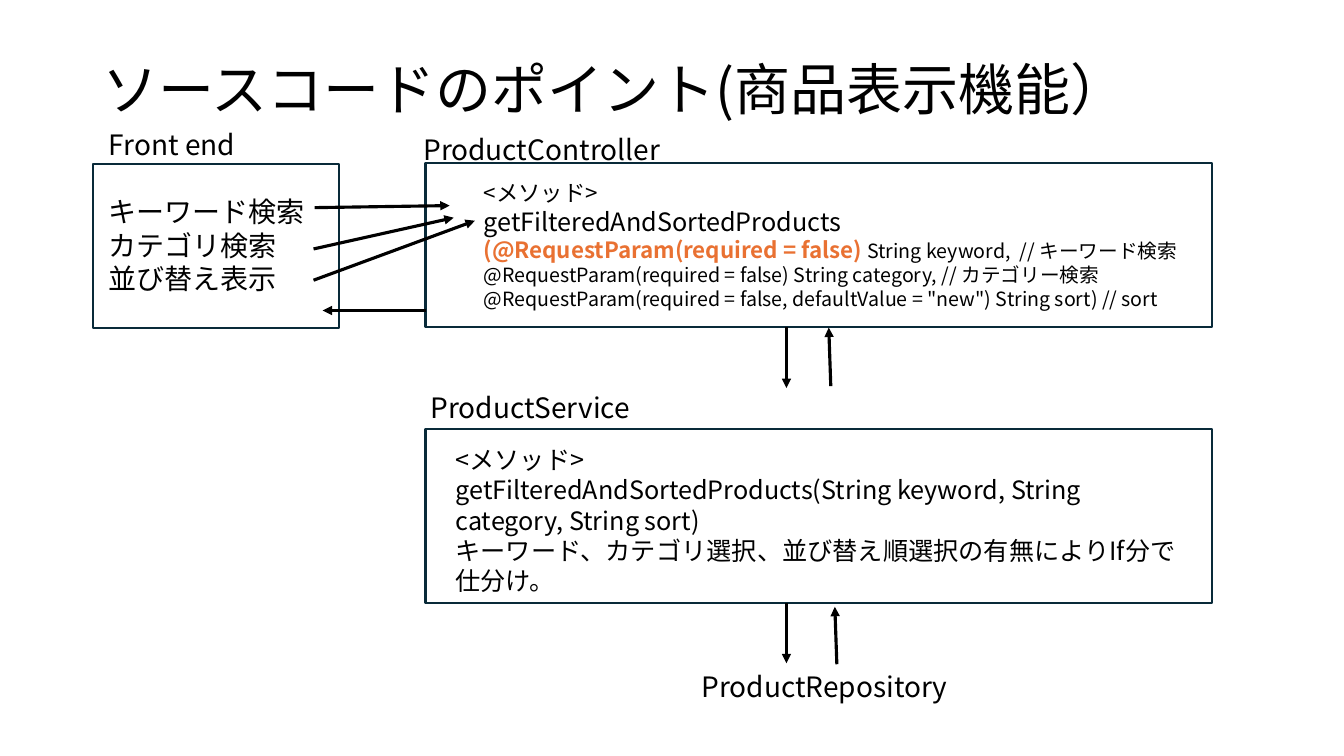
from pptx import Presentation
from pptx.dml.color import RGBColor
from pptx.enum.shapes import MSO_CONNECTOR, MSO_SHAPE
from pptx.enum.text import MSO_ANCHOR
from pptx.oxml.ns import qn
from pptx.util import Inches, Pt
from lxml.etree import SubElement

FONT = "Noto Sans CJK JP"
BLACK = "000000"
ORANGE = "E97132"
NAVY = "092A39"


def color(hex_string):
    return RGBColor.from_string(hex_string)


def add_text(left, top, width, height, paragraphs):
    frame = slide.shapes.add_textbox(
        Inches(left), Inches(top), Inches(width), Inches(height)).text_frame
    frame.word_wrap = True
    for index, pieces in enumerate(paragraphs):
        paragraph = frame.paragraphs[0] if index == 0 else frame.add_paragraph()
        for text, size, hex_string in pieces:
            run = paragraph.add_run()
            run.text = text
            run.font.size = Pt(size)
            run.font.name = FONT
            run.font.bold = hex_string == ORANGE
            run.font.color.rgb = color(hex_string)
            SubElement(run.font._element, qn("a:ea")).set("typeface", FONT)
    return frame


prs = Presentation()
prs.slide_width = Inches(13.33)
prs.slide_height = Inches(7.5)
slide = prs.slides.add_slide(prs.slide_layouts[6])

title = add_text(0.92, 0.19, 11.5, 1.45,
                 [[("ソースコードのポイント(商品表示機能）", 40, BLACK)]])
title.vertical_anchor = MSO_ANCHOR.MIDDLE
title.paragraphs[0].line_spacing = 0.9

boxes = [
    (0.92, 1.63, 2.44, 1.62),
    (4.22, 1.62, 7.8, 1.62),
    (4.22, 4.26, 7.8, 1.72),
]
for bounds in boxes:
    box = slide.shapes.add_shape(MSO_SHAPE.RECTANGLE, *map(Inches, bounds))
    box.shadow.inherit = False
    box.fill.background()
    box.line.color.rgb = color(NAVY)
    box.line.width = Pt(1.5)

headings = [
    ("Front end", 0.98, 1.22, 3),
    ("ProductController", 4.1, 1.27, 6.67),
    ("ProductService", 4.17, 3.82, 6.67),
    ("ProductRepository", 6.86, 6.59, 6.67),
]
for heading, left, top, width in headings:
    add_text(left, top, width, 0.44, [[(heading, 20, BLACK)]])

searches = ["キーワード検索", "カテゴリ検索", "並び替え表示"]
add_text(0.98, 1.88, 3, 1.11, [[(search, 20, BLACK)] for search in searches])

add_text(4.7, 1.73, 7.33, 1.41, [
    [("<メソッド>", 16, BLACK)],
    [("getFilteredAndSortedProducts", 18, BLACK)],
    [("(@RequestParam(required = false) ", 16, ORANGE),
     ("String keyword,  // キーワード検索", 14, BLACK)],
    [("@RequestParam(required = false) String category, // カテゴリー検索", 14, BLACK)],
    [('@RequestParam(required = false, defaultValue = "new") String sort) // sort',
      14, BLACK)],
])

service_lines = [
    "<メソッド>",
    "getFilteredAndSortedProducts(String keyword, String category, String sort)",
    "キーワード、カテゴリ選択、並び替え順選択の有無によりIf分で仕分け。",
]
add_text(4.42, 4.36, 7.41, 1.62, [[(line, 18, BLACK)] for line in service_lines])

arrows = [
    (3.12, 2.06, 4.46, 2.04),
    (3.11, 2.47, 4.5, 2.16),
    (3.11, 2.78, 4.71, 2.19),
    (4.23, 3.08, 3.2, 3.08),
    (7.8, 3.24, 7.8, 3.85),
    (8.24, 3.83, 8.22, 3.25),
    (7.8, 5.98, 7.8, 6.58),
    (8.3, 6.59, 8.28, 6.02),
]
for ends in arrows:
    arrow = slide.shapes.add_connector(MSO_CONNECTOR.STRAIGHT, *map(Inches, ends))
    arrow.line.color.rgb = color(BLACK)
    arrow.line.width = Pt(2.25)
    SubElement(arrow.line._get_or_add_ln(), qn("a:tailEnd")).set("type", "triangle")
    SubElement(arrow._element.spPr, qn("a:effectLst"))

prs.save("out.pptx")
